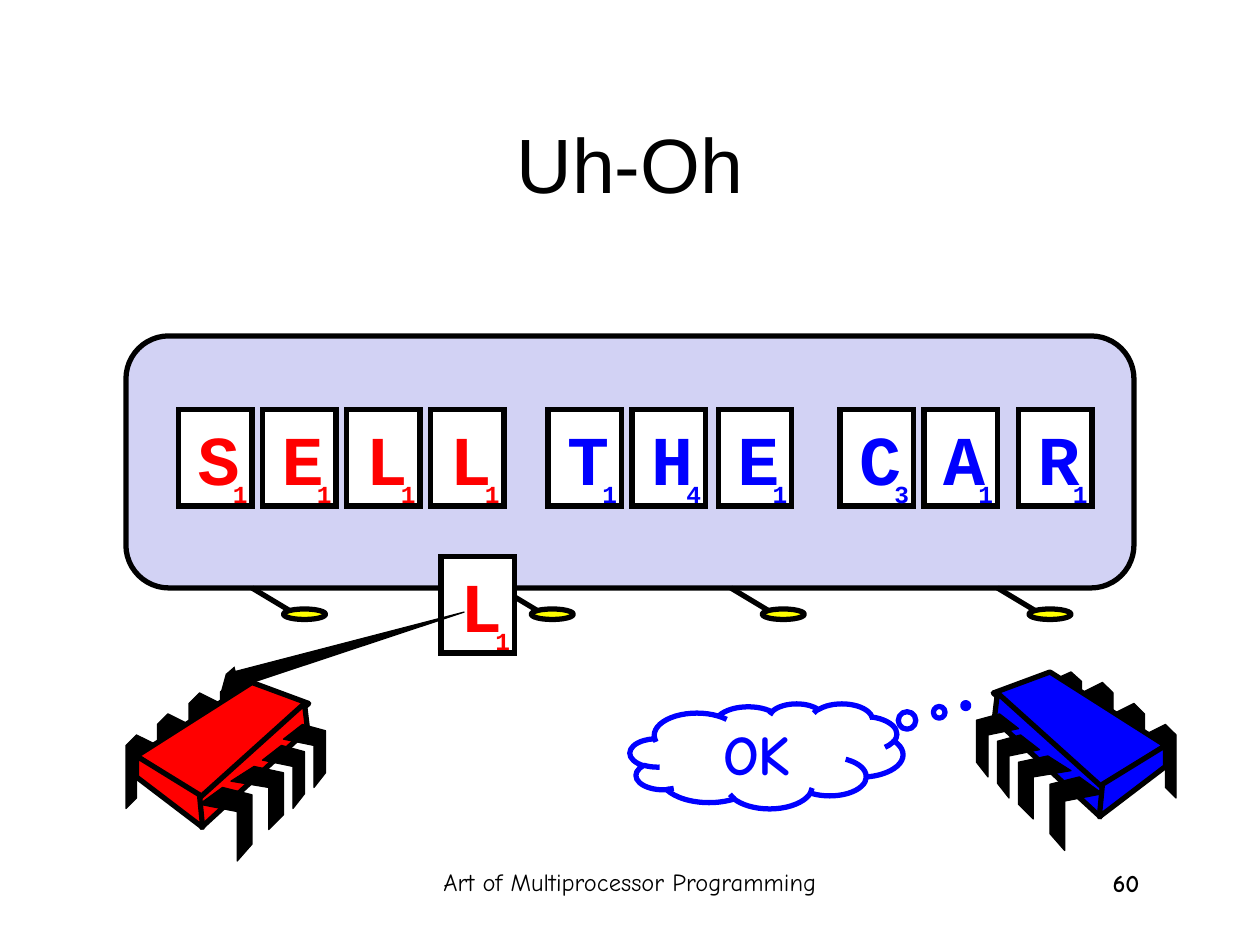
from dataclasses import dataclass

from lxml.etree import SubElement
from pptx import Presentation
from pptx.dml.color import RGBColor
from pptx.enum.shapes import MSO_CONNECTOR, MSO_SHAPE
from pptx.enum.text import MSO_ANCHOR, PP_ALIGN
from pptx.oxml.ns import qn
from pptx.util import Pt

PX = 7620  # EMU per px, 120 px to the inch


@dataclass(frozen=True)
class Theme:
    black: str = "000000"
    white: str = "FFFFFF"
    board: str = "D2D2F4"
    foot: str = "FFFF00"
    red: str = "FF0000"
    blue: str = "0000FF"
    title_font: str = "Arial"
    note_font: str = "Comic Neue"
    tile_font: str = "Courier New"
    title_size: int = 44
    letter_size: int = 40
    thought_size: int = 32
    small_size: int = 14
    thick: float = 3
    thin: float = 0.75


THEME = Theme()

TITLE = "Uh-Oh"
FOOTER = "Art of Multiprocessor Programming"
PAGE_NUMBER = "60"
THOUGHT = "OK"

BOARD = (120, 320, 960, 240)
FOOT_LEFTS = (240, 476, 696, 950)
TILE_TOP = 390
TILE_WIDTH, TILE_HEIGHT = 70, 92
# Each word: colour, tiles as (letter, points, left), top
WORDS = [
    (THEME.red, [("S", 1, 170), ("E", 1, 250), ("L", 1, 330), ("L", 1, 410)], TILE_TOP),
    (THEME.blue, [("T", 1, 522), ("H", 4, 602), ("E", 1, 684)], TILE_TOP),
    (THEME.blue, [("C", 3, 800), ("A", 1, 880), ("R", 1, 970)], TILE_TOP),
    (THEME.red, [("L", 1, 420)], 530),
]

# Leg outlines within a box of the given size; boxes are left, top, width, height
FAR_LEG = (30, 70), [(30, 10), (10, 0), (0, 10), (0, 70), (10, 60), (10, 20), (30, 30)]
NEAR_LEG = (50, 70), [(22, 0), (0, 16), (36, 23), (36, 70), (50, 54), (50, 7)]
FAR_BOXES = [(120, 700, 30, 70), (150, 680, 30, 70), (180, 660, 30, 70), (210, 650, 30, 60)]
NEAR_BOXES = [(190, 750, 50, 70), (220, 730, 50, 60), (250, 710, 40, 60), (270, 690, 40, 60)]
CHIP_FACES = [
    [(240, 650), (130, 720), (192, 762), (294, 670)],
    [(290, 670), (190, 760), (192, 788), (293, 695)],
    [(130, 720), (130, 740), (193, 788), (190, 757)],
]
MIRROR_SUM, MIRROR_RISE = 1240, 10
ARROW = [(210, 660), (442, 583), (215, 642)]


def px(*lengths):
    return [length * PX for length in lengths]


def paint(shape, fill, line, width):
    shape.shadow.inherit = False
    if fill:
        shape.fill.solid()
        shape.fill.fore_color.rgb = RGBColor.from_string(fill)
    else:
        shape.fill.background()
    shape.line.color.rgb = RGBColor.from_string(line)
    shape.line.width = Pt(width)


def write(shape, text, font, size, color, align, bold=False, anchor=MSO_ANCHOR.TOP, wrap=True):
    frame = shape.text_frame
    frame.word_wrap = wrap
    frame.vertical_anchor = anchor
    paragraph = frame.paragraphs[0]
    paragraph.alignment = align
    run = paragraph.add_run()
    run.text = text
    run.font.name = font
    run.font.size = Pt(size)
    run.font.bold = bold
    run.font.color.rgb = RGBColor.from_string(color)


def add_preset(shapes, kind, box, fill, line=THEME.black):
    shape = shapes.add_shape(kind, *px(*box))
    paint(shape, fill, line, THEME.thick)
    return shape


def add_line_detail(shape, tag, **attributes):
    SubElement(shape.line._get_or_add_ln(), qn(tag), **attributes)


def add_outline(shapes, points, fill, width, close=True):
    builder = shapes.build_freeform(*points[0], scale=PX)
    builder.add_line_segments(points[1:], close=close)
    shape = builder.convert_to_shape()
    paint(shape, fill, THEME.black, width)
    return shape


def add_foot(slide, left):
    shapes = slide.shapes.add_group_shape().shapes
    top = BOARD[1] + BOARD[3]
    leg = shapes.add_connector(MSO_CONNECTOR.STRAIGHT, *px(left, top, left + 50, top + 30))
    leg.line.color.rgb = RGBColor.from_string(THEME.black)
    leg.line.width = Pt(THEME.thick)
    SubElement(leg._element.spPr, qn("a:effectLst"))
    add_preset(shapes, MSO_SHAPE.OVAL, (left + 30, top + 20, 40, 10), THEME.foot)


def add_word(slide, color, tiles, top):
    shapes = slide.shapes.add_group_shape().shapes
    for letter, points, left in tiles:
        tile = add_preset(shapes, MSO_SHAPE.RECTANGLE, (left, top, TILE_WIDTH, TILE_HEIGHT), THEME.white)
        add_line_detail(tile, "a:miter", lim="800000")
        tile.text_frame.margin_top = 6 * PX
        tile.text_frame.margin_bottom = 0
        write(tile, letter, THEME.tile_font, THEME.letter_size, color, PP_ALIGN.RIGHT, bold=True)
        score = shapes.add_textbox(*px(left + 40, top + 60, 37, 41))
        write(score, str(points), THEME.tile_font, THEME.small_size, color,
              PP_ALIGN.RIGHT, bold=True, wrap=False)


def fit_leg(leg, box):
    """Stretch a leg outline to fill its box."""
    (base_width, base_height), points = leg
    left, top, width, height = box
    return [(left + x * width / base_width, top + y * height / base_height) for x, y in points]


def add_chip(slide, color, mirrored=False):
    shapes = slide.shapes.add_group_shape().shapes
    parts = [(fit_leg(FAR_LEG, box), THEME.black, THEME.thin) for box in FAR_BOXES]
    parts += [(face, color, THEME.thick) for face in CHIP_FACES]
    parts += [(fit_leg(NEAR_LEG, box), THEME.black, THEME.thin) for box in NEAR_BOXES]
    for points, fill, width in parts:
        if mirrored:
            points = [(MIRROR_SUM - x, y - MIRROR_RISE) for x, y in points]
        add_outline(shapes, points, fill, width)


def main():
    presentation = Presentation()
    presentation.slide_width, presentation.slide_height = px(1200, 900)
    slide = presentation.slides.add_slide(presentation.slide_layouts[5])

    title = slide.shapes.title
    title.left, title.top, title.width, title.height = px(90, 80, 1020, 150)
    write(title, TITLE, THEME.title_font, THEME.title_size, THEME.black,
          PP_ALIGN.CENTER, anchor=MSO_ANCHOR.MIDDLE)

    board = add_preset(slide.shapes, MSO_SHAPE.ROUNDED_RECTANGLE, BOARD, THEME.board)
    board.adjustments[0] = 0.17
    for left in FOOT_LEFTS:
        add_foot(slide, left)
    add_chip(slide, THEME.red)
    for color, tiles, top in WORDS:
        add_word(slide, color, tiles, top)
    add_chip(slide, THEME.blue, mirrored=True)

    cloud = add_preset(slide.shapes, MSO_SHAPE.CLOUD_CALLOUT, (600, 670, 260, 100), None, THEME.blue)
    cloud.adjustments[0], cloud.adjustments[1] = 0.73, -0.48
    write(cloud, THOUGHT, THEME.note_font, THEME.thought_size, THEME.blue,
          PP_ALIGN.CENTER, bold=True, anchor=MSO_ANCHOR.MIDDLE)

    arrow = add_outline(slide.shapes, ARROW, THEME.black, THEME.thin, close=False)
    add_line_detail(arrow, "a:tailEnd", type="triangle")

    for text, box, align, bold in [
        (FOOTER, (410, 820, 380, 60), PP_ALIGN.CENTER, False),
        (PAGE_NUMBER, (847, 821, 250, 60), PP_ALIGN.RIGHT, True),
    ]:
        note = slide.shapes.add_textbox(*px(*box))
        write(note, text, THEME.note_font, THEME.small_size, THEME.black, align, bold=bold)

    presentation.save("out.pptx")


if __name__ == "__main__":
    main()
